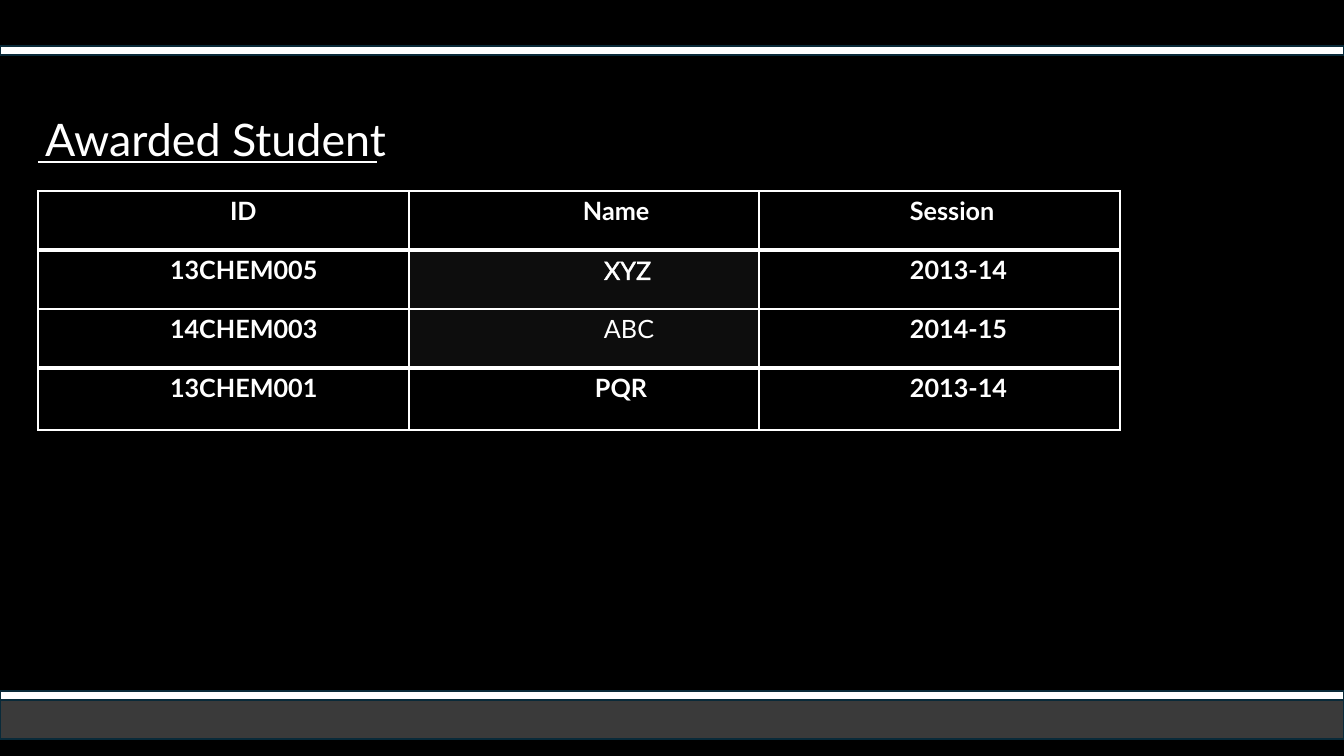
from lxml import etree
from pptx import Presentation
from pptx.dml.color import RGBColor
from pptx.enum import shapes, text
from pptx.oxml import ns
from pptx.util import Pt

PX = 12192000 / 1344  # EMU per pixel
WHITE, BLACK, CHARCOAL, GREY, NAVY = "FFFFFF", "000000", "0D0D0D", "3A3A3A", "092A39"


def px(*lengths):
    return [round(n * PX) for n in lengths]


def paint(fill, color):
    fill.solid()
    fill.fore_color.rgb = RGBColor.from_string(color)


def white_line(tag, width):
    """Line element for a cell border or a text outline."""
    ln = etree.Element(ns.qn(tag), w=str(Pt(width)))
    solid = etree.SubElement(ln, ns.qn("a:solidFill"))
    etree.SubElement(solid, ns.qn("a:srgbClr"), val=WHITE)
    return ln


def write(tf, content, size, bold=False, outline=0):
    p = tf.paragraphs[0]
    p.alignment = text.PP_ALIGN.LEFT
    r = p.add_run()
    r.text = content
    r.font.name, r.font.size, r.font.bold = "Lato", Pt(size), bold
    paint(r.font.fill, WHITE)
    if outline:
        r.font._element.insert(0, white_line("a:ln", outline))


def add_bar(s, box, color):
    bar = s.shapes.add_shape(shapes.MSO_SHAPE.RECTANGLE, *px(*box))
    bar.shadow.inherit = False
    paint(bar.fill, color)
    paint(bar.line.fill, NAVY)
    bar.line.width = Pt(1.5)


def add_frame(s, width, height):
    """Bands along the top and bottom of the slide."""
    add_bar(s, (0, height - 65, width, 48), GREY)
    for top in (46, height - 65):
        add_bar(s, (0, top, width, 9), WHITE)


def add_heading(s, left, top, width, height):
    """Title with a rule under its words."""
    title = s.shapes.title
    title.left, title.top, title.width, title.height = px(left, top, width, height)
    tf = title.text_frame
    tf.word_wrap = True
    tf.auto_size = text.MSO_AUTO_SIZE.NONE
    tf.vertical_anchor = text.MSO_ANCHOR.TOP
    write(tf, "Awarded Student", 32)

    y = top + 55
    rule = s.shapes.add_connector(shapes.MSO_CONNECTOR.STRAIGHT,
                                  *px(left + 3, y, left + 342, y))
    paint(rule.line.fill, WHITE)
    rule.line.width = Pt(1.5)
    etree.SubElement(rule._element.spPr, ns.qn("a:effectLst"))


def add_students(s, left, top, col_widths, row_heights):
    # Each cell: text, indent in px, further format
    session = 151
    rows = [
        [("ID", 192, {}), ("Name", 174, {}), ("Session", session, {})],
        [("13CHEM005", 132, {}), ("XYZ", 195, {"bold": False, "outline": 0.75}),
         ("2013-14", session, {})],
        [("14CHEM003", 132, {}), ("ABC", 195, {"bold": False}), ("2014-15", session, {})],
        [("13CHEM001", 132, {}), ("PQR", 186, {}), ("2013-14", session, {})],
    ]
    box = px(left, top, sum(col_widths), sum(row_heights))
    table = s.shapes.add_table(len(rows), len(col_widths), *box).table
    table.first_row = table.horz_banding = False
    for col, width in zip(table.columns, px(*col_widths)):
        col.width = width
    for row, height in zip(table.rows, px(*row_heights)):
        row.height = height

    # Thick rules below the header and above the last row
    last = len(rows) - 1
    rules = [3 if i in (1, last) else 1 for i in range(len(rows) + 1)]
    for i, row in enumerate(rows):
        for j, (content, indent, style) in enumerate(row):
            cell = table.cell(i, j)
            cell.margin_left, cell.margin_right = px(indent, 0)
            write(cell.text_frame, content, 18, **{"bold": True, **style})
            paint(cell.fill, CHARCOAL if j == 1 and 0 < i < last else BLACK)
            borders = {"a:lnL": 1, "a:lnR": 1, "a:lnT": rules[i], "a:lnB": rules[i + 1]}
            for k, (tag, width) in enumerate(borders.items()):
                cell._tc.tcPr.insert(k, white_line(tag, width))


def main():
    prs = Presentation()
    prs.slide_width, prs.slide_height = px(1344, 756)
    s = prs.slides.add_slide(prs.slide_layouts[5])
    paint(s.background.fill, BLACK)
    add_frame(s, 1344, 756)
    add_heading(s, 35, 107, 705, 65)
    add_students(s, 38, 191, (371, 350, 361), (59, 59, 59, 62))
    prs.save("out.pptx")


if __name__ == "__main__":
    main()
